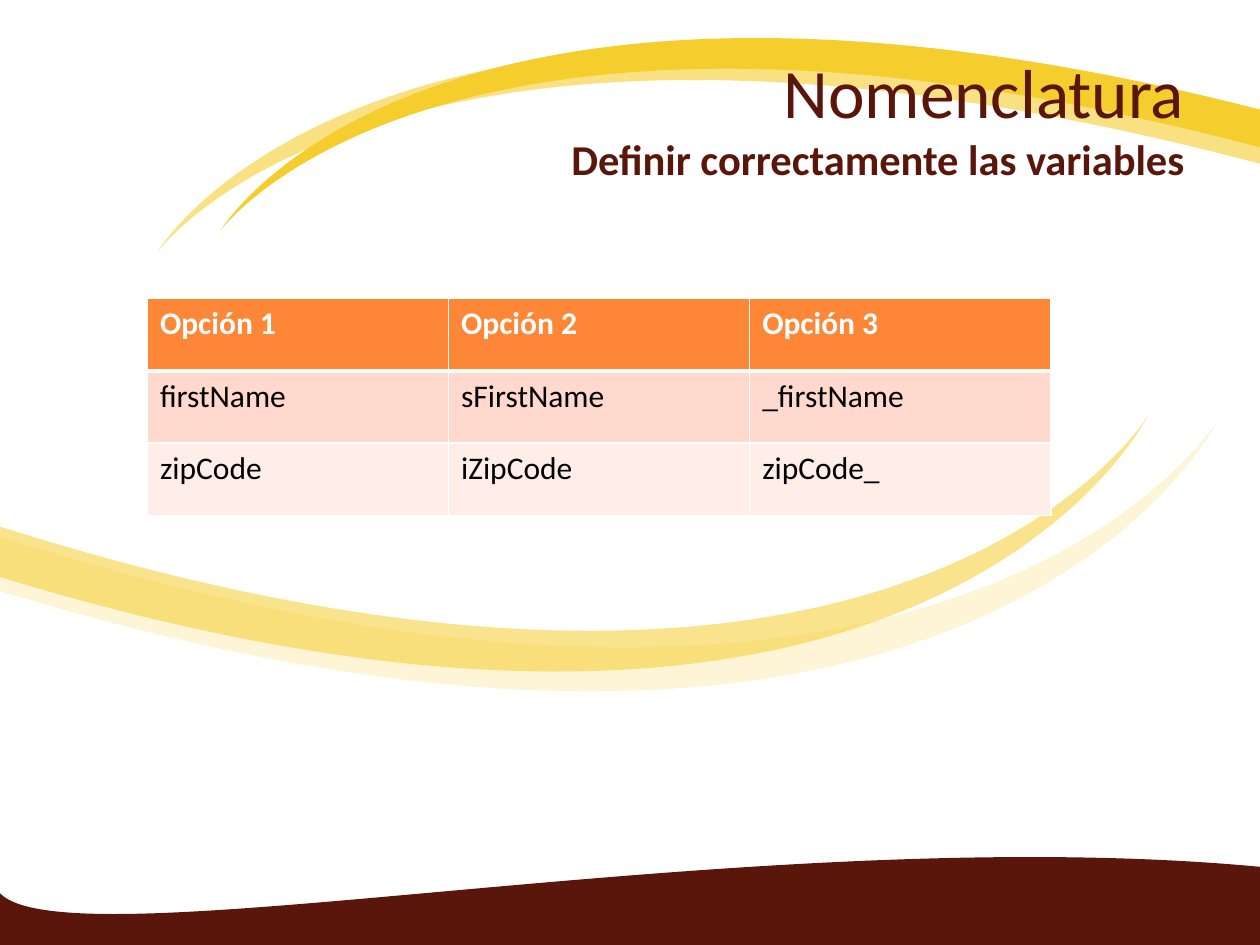
import lxml.etree
import pptx
import pptx.dml.color
import pptx.enum.text
import pptx.oxml.ns
import pptx.util
from pptx.util import Inches

BROWN, GOLD, WHITE = "5A160B", "F5CD2D", "FFFFFF"


def color(hex_string):
    return pptx.dml.color.RGBColor.from_string(hex_string)


def add_element(parent, tag, **attributes):
    return lxml.etree.SubElement(parent, pptx.oxml.ns.qn(tag), attributes)


presentation = pptx.Presentation()
presentation.slide_width = Inches(10)
presentation.slide_height = Inches(7.5)
slide = presentation.slides.add_slide(presentation.slide_layouts[5])

# Each outline starts at the first point; every three points after it make a Bezier
# curve, and the points left over are joined by straight lines.
outlines = [
    (BROWN, 100, 1, [(0, 7.09), (0.56, 7.67), (5.96, 6.5), (10, 6.88), (10, 7.5), (0, 7.5)]),
]
swooshes = [
    ("FDF5D5", 100, (0, 4.26), (7.63, 6.68), (9.67, 3.33), (7.82, 7.08), (0, 4.69)),
    ("F9E181", 100, (10, 1.3), (3.09, -0.53), (1.25, 2), (2.92, -0.83), (10, 0.97)),
    (GOLD, 100, (10, 1.17), (3.49, -0.55), (1.75, 1.83), (3.33, -0.83), (10, 0.87)),
    (GOLD, 54, (0, 4.18), (7.2, 6.46), (9.11, 3.3), (7.37, 6.83), (0, 4.58)),
]
for fill, opacity, start, outer, tip, inner, end in swooshes:
    outlines.append((fill, opacity, 2, [start, outer, tip, tip, tip, inner, end]))

for fill, opacity, curve_count, points in outlines:
    start, *others = [(Inches(x), Inches(y)) for x, y in points]
    builder = slide.shapes.build_freeform(*start)
    builder.add_line_segments(others, close=True)
    shape = builder.convert_to_shape()
    lines = list(shape.element.iter(pptx.oxml.ns.qn("a:lnTo")))
    for first in range(0, 3 * curve_count, 3):
        curve = lxml.etree.Element(pptx.oxml.ns.qn("a:cubicBezTo"))
        lines[first].addprevious(curve)
        for line in lines[first:first + 3]:
            curve.append(line[0])
            line.getparent().remove(line)
    shape.shadow.inherit = False
    shape.line.fill.background()
    shape.fill.solid()
    shape.fill.fore_color.rgb = color(fill)
    if opacity < 100:
        fill_color = shape.element.spPr.find(".//" + pptx.oxml.ns.qn("a:srgbClr"))
        add_element(fill_color, "a:alpha", val=str(opacity * 1000))

title = slide.shapes.title
title.left, title.top, title.width, title.height = map(Inches, (0.5, 0.3, 9, 1.25))
# Bring the title in front of the swooshes.
slide.shapes.element.append(title.element)
title.text_frame.text = "Nomenclatura\vDefinir correctamente las variables"
title.text_frame.auto_size = pptx.enum.text.MSO_AUTO_SIZE.NONE
title.text_frame.vertical_anchor = pptx.enum.text.MSO_ANCHOR.MIDDLE
paragraph = title.text_frame.paragraphs[0]
paragraph.alignment = pptx.enum.text.PP_ALIGN.RIGHT
for run, size, bold in zip(paragraph.runs, (39.6, 24.3), (False, True)):
    run.font.name = "Calibri"
    run.font.size = pptx.util.Pt(size)
    run.font.bold = bold
    run.font.color.rgb = color(BROWN)

# Fill, text colour, top and bottom border in points, texts
rows = [
    ("FE8637", WHITE, 1, 3, ("Opción 1", "Opción 2", "Opción 3")),
    ("FFD9CE", "000000", 3, 1, ("firstName", "sFirstName", "_firstName")),
    ("FFEDE8", "000000", 1, 1, ("zipCode", "iZipCode", "zipCode_")),
]
table = slide.shapes.add_table(3, 3, Inches(1.17), Inches(2.37), Inches(7.17), Inches(1.72)).table
for row_index, (fill, text_color, top, bottom, names) in enumerate(rows):
    for column_index, name in enumerate(names):
        cell = table.cell(row_index, column_index)
        cell.text_frame.text = name
        font = cell.text_frame.paragraphs[0].runs[0].font
        font.name = "Calibri"
        font.size = pptx.util.Pt(18)
        font.bold = row_index == 0
        font.color.rgb = color(text_color)
        properties = cell._tc.get_or_add_tcPr()
        for side, width in (("L", 1), ("R", 1), ("T", top), ("B", bottom)):
            border = add_element(properties, "a:ln" + side, w=str(pptx.util.Pt(width)))
            add_element(add_element(border, "a:solidFill"), "a:srgbClr", val=WHITE)
        cell.fill.solid()
        cell.fill.fore_color.rgb = color(fill)

presentation.save("out.pptx")
